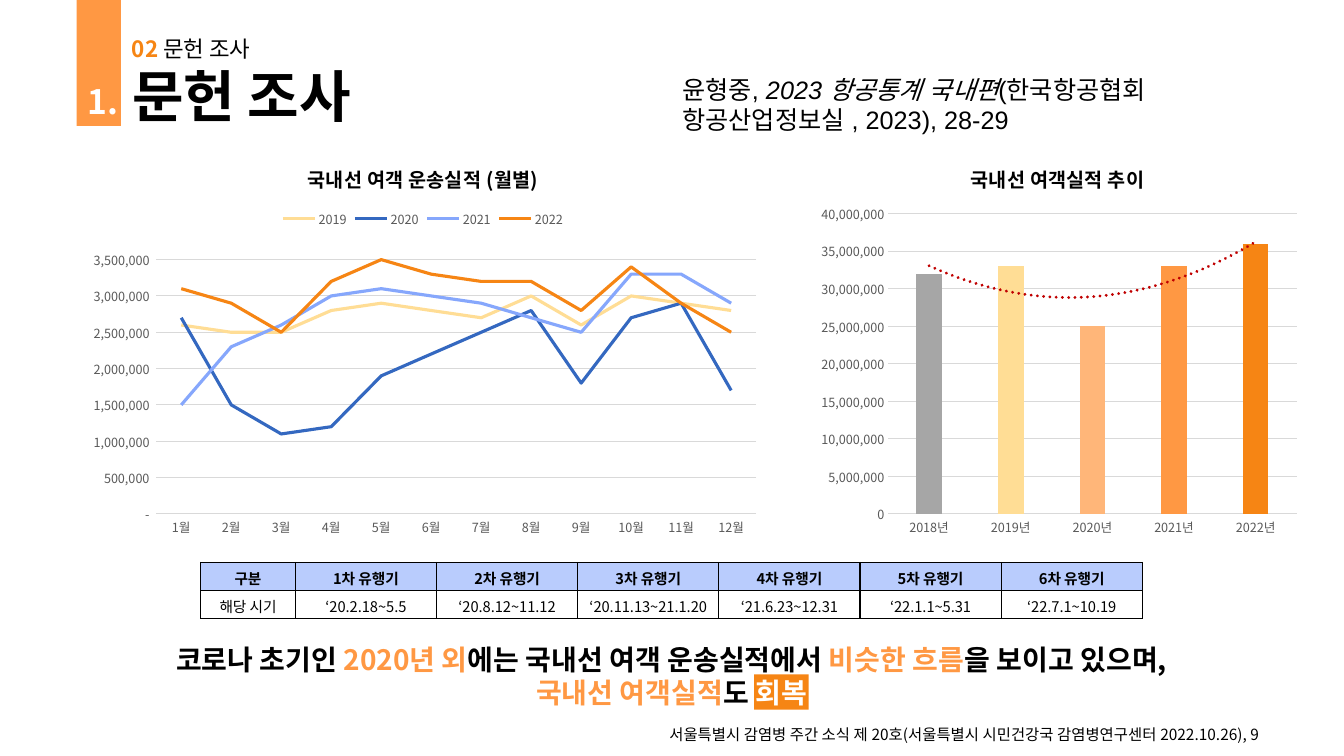
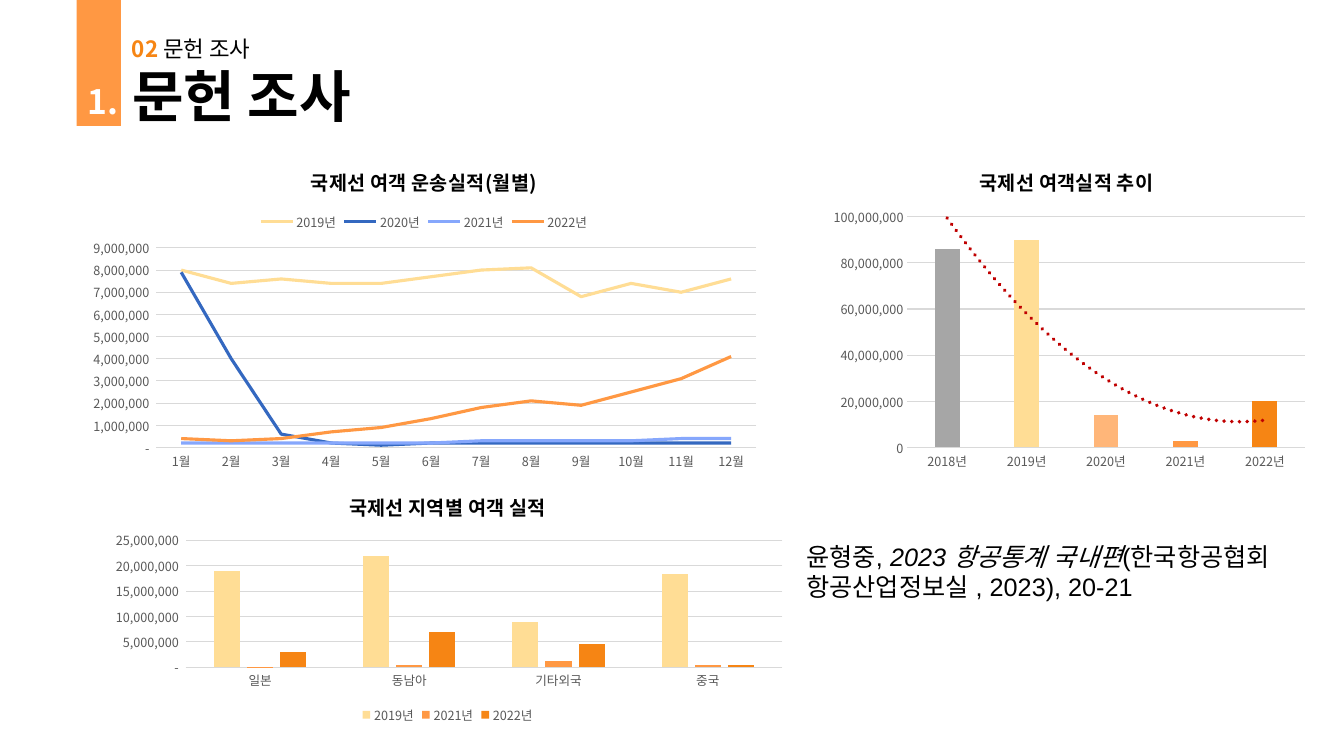
from lxml import etree
from pptx import Presentation
from pptx.chart.data import CategoryChartData
from pptx.dml.color import RGBColor
from pptx.enum.chart import XL_CHART_TYPE, XL_LEGEND_POSITION, XL_TICK_MARK
from pptx.enum.shapes import MSO_SHAPE
from pptx.enum.text import MSO_ANCHOR, PP_ALIGN
from pptx.oxml import parse_xml
from pptx.oxml.ns import nsdecls, qn
from pptx.util import Inches, Pt

SANS, CITATION_FONT = "Noto Sans CJK KR", "Arial"
BLACK, WHITE, GRAY, GRID = "000000", "FFFFFF", "595959", "D9D9D9"
ORANGE, DEEP_ORANGE, YELLOW = "FF9843", "F68514", "FFDD95"
BLUE, LIGHT_BLUE, HEADER_BLUE = "3468C0", "86A7FC", "B9CCFD"
YEAR_COLORS = ["A6A6A6", YELLOW, "FFB679", ORANGE, DEEP_ORANGE]
TREND_RED = "C00000"
DASH_FORMAT = '_(* #,##0_);_(* \\(#,##0\\);_(* "-"_);_(@_)'
MONTHS = [f"{month}월" for month in range(1, 13)]
YEARS = [f"{year}년" for year in range(2018, 2023)]
MILLION = 1_000_000


def rgb(value):
    return RGBColor.from_string(value)


def inches(box):
    return [Inches(length) for length in box]


def style_font(font, size, color=BLACK, bold=False, italic=False, name=SANS):
    """Set a font, using the same face for Latin and Korean letters."""
    font.name, font.size, font.bold, font.italic = name, Pt(size), bold, italic
    font.color.rgb = rgb(color)
    properties = font._rPr
    for old in properties.findall(qn("a:ea")):
        properties.remove(old)
    korean = etree.Element(qn("a:ea"), typeface=name)
    properties.find(qn("a:latin")).addnext(korean)


def fill_text(frame, lines, size, align=PP_ALIGN.LEFT, name=SANS):
    """Write lines, each a list of (text, font options) pairs."""
    frame.word_wrap = True
    frame.vertical_anchor = MSO_ANCHOR.TOP
    for index, pieces in enumerate(lines):
        paragraph = frame.paragraphs[0] if index == 0 else frame.add_paragraph()
        paragraph.alignment = align
        paragraph.line_spacing = 1.0
        for text, options in pieces:
            run = paragraph.add_run()
            run.text = text
            style_font(run.font, size, name=name, **options)


def add_text(slide, box, lines, size, **layout):
    fill_text(slide.shapes.add_textbox(*inches(box)).text_frame, lines, size, **layout)


def add_block(slide, box, color):
    block = slide.shapes.add_shape(MSO_SHAPE.RECTANGLE, *inches(box))
    block.shadow.inherit = False
    block.fill.solid()
    block.fill.fore_color.rgb = rgb(color)
    block.line.fill.background()


def add_section_slide(deck):
    """Add a slide with the orange tab, section label and title."""
    slide = deck.slides.add_slide(deck.slide_layouts[5])
    add_block(slide, (0.76, 0, 0.44, 1.25), ORANGE)
    title = slide.shapes.title
    title.left, title.top, title.width, title.height = inches((1.21, 0.56, 6.93, 0.77))
    fill_text(title.text_frame, [[("문헌 조사", {"bold": True})]], 40)
    section = [("02 ", {"color": DEEP_ORANGE, "bold": True}), ("문헌 조사", {})]
    add_text(slide, (1.21, 0.3, 3.57, 0.37), [section], 16)
    number = [("1.", {"color": WHITE, "bold": True})]
    add_text(slide, (0.71, 0.75, 0.62, 0.5), [number], 24, align=PP_ALIGN.CENTER)
    return slide


def add_citation(slide, left, top, pages):
    citation = [
        ("윤형중, ", {}),
        ("2023 항공통계 국내편", {"italic": True}),
        (f"(한국항공협회 항공산업정보실 , 2023), {pages}", {}),
    ]
    add_text(slide, (left, top, 5.3, 0.7), [citation], 18, name=CITATION_FONT)


def place_plot(chart, box, plot):
    """Fix the inner plot area; both boxes are in slide inches."""
    left, top, width, height = box
    fractions = {
        "x": (plot[0] - left) / width,
        "y": (plot[1] - top) / height,
        "w": plot[2] / width,
        "h": plot[3] / height,
    }
    sizes = "".join(f'<c:{key} val="{value:.4f}"/>' for key, value in fractions.items())
    area = chart._chartSpace.chart.plotArea
    for old in area.findall(qn("c:layout")):
        area.remove(old)
    area.insert(0, parse_xml(
        f'<c:layout {nsdecls("c")}><c:manualLayout><c:layoutTarget val="inner"/>'
        f'<c:xMode val="edge"/><c:yMode val="edge"/>{sizes}</c:manualLayout></c:layout>'))


def style_axes(chart, top, step, number_format):
    for axis in (chart.category_axis, chart.value_axis):
        axis.major_tick_mark = axis.minor_tick_mark = XL_TICK_MARK.NONE
        style_font(axis.tick_labels.font, 9, GRAY)
    categories, values = chart.category_axis, chart.value_axis
    categories.format.line.color.rgb = rgb(GRID)
    categories.format.line.width = Pt(0.75)
    values.format.line.fill.background()
    values.minimum_scale, values.maximum_scale, values.major_unit = 0, top, step
    values.has_major_gridlines = True
    values.major_gridlines.format.line.color.rgb = rgb(GRID)
    values.major_gridlines.format.line.width = Pt(0.75)
    values.tick_labels.number_format = number_format
    values.tick_labels.number_format_is_linked = False


def add_passenger_chart(slide, kind, box, plot, title, categories, series, scale,
                        legend=None, number_format=DASH_FORMAT):
    """Add a titled chart; series maps names to values in millions."""
    data = CategoryChartData()
    data.categories = categories
    for name, values in series.items():
        data.add_series(name, [round(value * MILLION) for value in values])
    chart = slide.shapes.add_chart(kind, *inches(box), data).chart
    style_font(chart.font, 10)
    chart.has_title = True
    chart.chart_title.text_frame.text = title
    style_font(chart.chart_title.text_frame.paragraphs[0].runs[0].font, 14, bold=True)
    chart.chart_title.include_in_layout = False
    chart.has_legend = legend is not None
    if chart.has_legend:
        chart.legend.position = legend
        chart.legend.include_in_layout = False
        style_font(chart.legend.font, 9, GRAY)
    top, step = scale
    style_axes(chart, top * MILLION, step * MILLION, number_format)
    place_plot(chart, box, plot)
    chart.plots[0].vary_by_categories = False
    return chart


def add_monthly_lines(slide, box, plot, title, series, scale, colors):
    chart = add_passenger_chart(slide, XL_CHART_TYPE.LINE, box, plot, title, MONTHS,
                                series, scale, XL_LEGEND_POSITION.TOP)
    for year, color in zip(chart.plots[0].series, colors):
        year.smooth = False
        year.format.line.color.rgb = rgb(color)
        year.format.line.width = Pt(2.25)


def add_columns(slide, box, plot, title, categories, series, scale, **options):
    chart = add_passenger_chart(slide, XL_CHART_TYPE.COLUMN_CLUSTERED, box, plot, title,
                                categories, series, scale, **options)
    chart.plots[0].gap_width = 219
    chart.plots[0].overlap = -27
    return chart.plots[0].series


def paint(part, color):
    part.format.fill.solid()
    part.format.fill.fore_color.rgb = rgb(color)


def add_yearly_trend(slide, box, plot, title, totals, scale, trend_width):
    """Add one column a year with a dotted quadratic trend line."""
    yearly = add_columns(slide, box, plot, title, YEARS, {"Series 1": totals}, scale,
                         number_format="#,##0")[0]
    for index, color in enumerate(YEAR_COLORS):
        paint(yearly.points[index], color)
    trend = parse_xml(
        f'<c:trendline {nsdecls("c", "a")}><c:spPr>'
        f'<a:ln w="{Pt(trend_width)}" cap="rnd"><a:solidFill><a:srgbClr val="{TREND_RED}"/>'
        '</a:solidFill><a:prstDash val="sysDot"/></a:ln></c:spPr>'
        '<c:trendlineType val="poly"/><c:order val="2"/>'
        '<c:dispRSqr val="0"/><c:dispEq val="0"/></c:trendline>')
    yearly._element.find(qn("c:cat")).addprevious(trend)


def border_cell(cell):
    properties = cell._tc.get_or_add_tcPr()
    for index, side in enumerate(("lnL", "lnR", "lnT", "lnB")):
        properties.insert(index, parse_xml(
            f'<a:{side} {nsdecls("a")} w="{Pt(1)}"><a:solidFill>'
            f'<a:srgbClr val="{BLACK}"/></a:solidFill></a:{side}>'))


def add_wave_table(slide):
    waves = ["‘20.2.18~5.5", "‘20.8.12~11.12", "‘20.11.13~21.1.20",
             "‘21.6.23~12.31", "‘22.1.1~5.31", "‘22.7.1~10.19"]
    rows = [["구분"] + [f"{number}차 유행기" for number in range(1, len(waves) + 1)],
            ["해당 시기"] + waves]
    table = slide.shapes.add_table(2, 7, *inches((1.99, 5.58, 9.36, 0.55))).table
    for index, column in enumerate(table.columns):
        column.width = Inches(1.4 if index else 0.94)
    for row_index, texts in enumerate(rows):
        table.rows[row_index].height = Inches(0.28)
        is_header = row_index == 0
        for column_index, text in enumerate(texts):
            cell = table.cell(row_index, column_index)
            cell.margin_left = cell.margin_right = Inches(0.05)
            cell.margin_top, cell.margin_bottom = Inches(0.04), Inches(0.01)
            cell.vertical_anchor = MSO_ANCHOR.MIDDLE
            cell.fill.solid()
            cell.fill.fore_color.rgb = rgb(HEADER_BLUE if is_header else WHITE)
            border_cell(cell)
            cell.text_frame.text = text
            paragraph = cell.text_frame.paragraphs[0]
            paragraph.alignment = PP_ALIGN.CENTER
            style_font(paragraph.runs[0].font, 10.5, bold=is_header)


def build_domestic(deck):
    slide = add_section_slide(deck)
    add_block(slide, (7.48, 6.69, 0.54, 0.35), DEEP_ORANGE)
    monthly = {
        "2019": [2.6, 2.5, 2.5, 2.8, 2.9, 2.8, 2.7, 3.0, 2.6, 3.0, 2.9, 2.8],
        "2020": [2.7, 1.5, 1.1, 1.2, 1.9, 2.2, 2.5, 2.8, 1.8, 2.7, 2.9, 1.7],
        "2021": [1.5, 2.3, 2.6, 3.0, 3.1, 3.0, 2.9, 2.7, 2.5, 3.3, 3.3, 2.9],
        "2022": [3.1, 2.9, 2.5, 3.2, 3.5, 3.3, 3.2, 3.2, 2.8, 3.4, 2.9, 2.5],
    }
    add_monthly_lines(slide, (0.76, 1.44, 6.87, 3.96), (1.55, 2.36, 5.95, 2.74),
                      "국내선 여객 운송실적 (월별)", monthly, (3.8, 0.5),
                      [YELLOW, BLUE, LIGHT_BLUE, DEEP_ORANGE])
    add_yearly_trend(slide, (8.02, 1.44, 4.94, 3.96), (8.81, 2.12, 4.05, 2.98),
                     "국내선 여객실적 추이", [32, 33, 25, 33, 36], (40, 5), 2.25)
    add_wave_table(slide)
    plain = {"bold": True}
    accent = {"bold": True, "color": ORANGE}
    conclusion = [
        [("코로나 초기인 ", plain), ("2020년 외", accent),
         ("에는 국내선 여객 운송실적에서 ", plain), ("비슷한 흐름", accent),
         ("을 보이고 있으며,", plain)],
        [("국내선 여객실적", accent), ("도 ", plain),
         ("회복", {"bold": True, "color": WHITE})],
    ]
    add_text(slide, (0.37, 6.32, 12.58, 0.77), conclusion, 20, align=PP_ALIGN.CENTER)
    add_citation(slide, 6.67, 0.69, "28-29")
    source = "서울특별시 감염병 주간 소식 제 20호(서울특별시 시민건강국 감염병연구센터 2022.10.26), 9"
    add_text(slide, (6.54, 7.14, 6.67, 0.29), [[(source, {})]], 11)


def build_international(deck):
    slide = add_section_slide(deck)
    regional = {
        "2019년": [18.9, 21.8, 8.8, 18.4],
        "2021년": [0.1, 0.4, 1.2, 0.4],
        "2022년": [3.0, 6.9, 4.6, 0.4],
    }
    regions = add_columns(slide, (0.98, 4.72, 6.92, 2.5), (1.84, 5.36, 5.92, 1.26),
                          "국제선 지역별 여객 실적", ["일본", "동남아", "기타외국", "중국"],
                          regional, (25, 5), legend=XL_LEGEND_POSITION.BOTTOM)
    for year, color in zip(regions, [YELLOW, ORANGE, DEEP_ORANGE]):
        paint(year, color)
    add_yearly_trend(slide, (8.13, 1.48, 4.9, 3.24), (9.0, 2.15, 3.94, 2.29),
                     "국제선 여객실적 추이", [86, 90, 14, 3, 20], (100, 20), 2.75)
    monthly = {
        "2019년": [8.0, 7.4, 7.6, 7.4, 7.4, 7.7, 8.0, 8.1, 6.8, 7.4, 7.0, 7.6],
        "2020년": [7.9, 4.0, 0.6, 0.2, 0.1] + [0.2] * 7,
        "2021년": [0.2] * 6 + [0.3] * 4 + [0.4] * 2,
        "2022년": [0.4, 0.3, 0.4, 0.7, 0.9, 1.3, 1.8, 2.1, 1.9, 2.5, 3.1, 4.1],
    }
    add_monthly_lines(slide, (0.77, 1.48, 6.87, 3.24), (1.55, 2.46, 5.95, 1.98),
                      "국제선 여객 운송실적(월별)", monthly, (9, 1),
                      [YELLOW, BLUE, LIGHT_BLUE, ORANGE])
    add_citation(slide, 7.9, 5.32, "20-21")


def main():
    deck = Presentation()
    deck.slide_width, deck.slide_height = Inches(13.33), Inches(7.5)
    build_domestic(deck)
    build_international(deck)
    deck.save("out.pptx")


if __name__ == "__main__":
    main()
